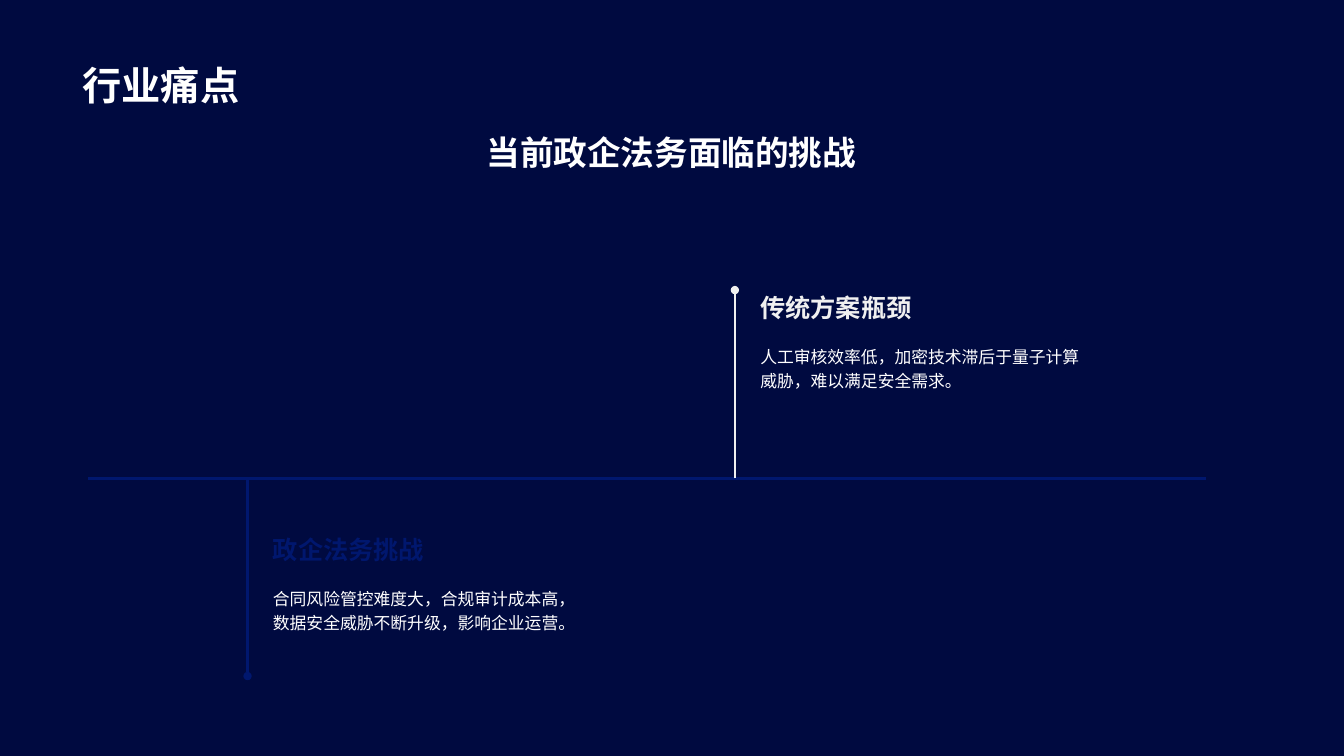
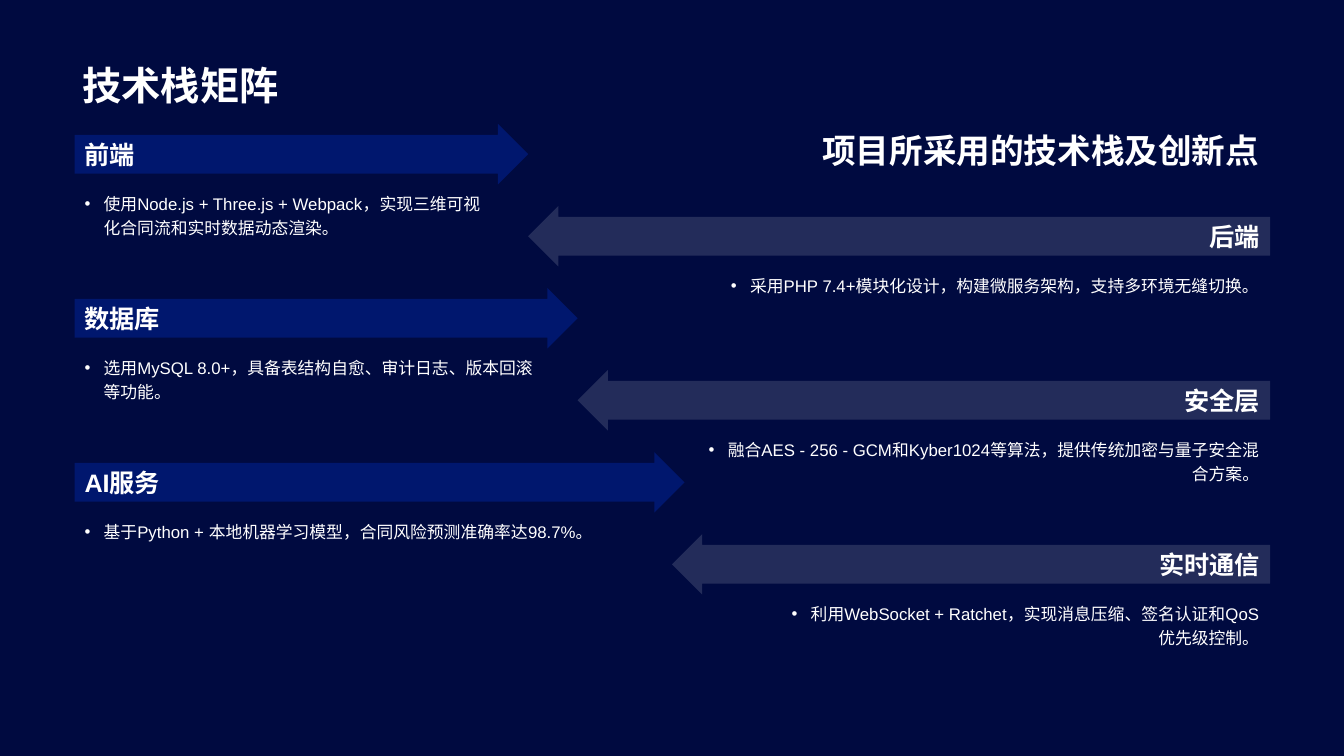
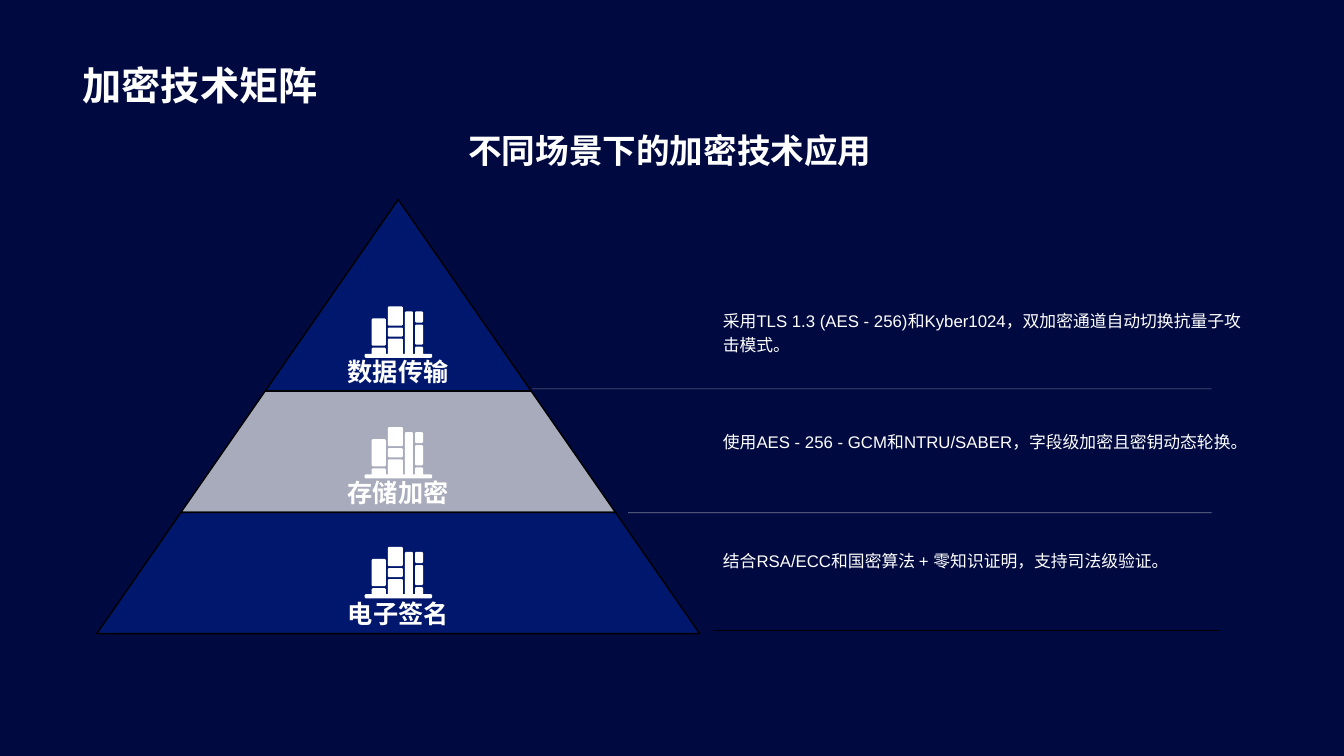
from lxml.etree import SubElement
from pptx import Presentation
from pptx.dml.color import RGBColor
from pptx.enum.shapes import MSO_CONNECTOR, MSO_SHAPE
from pptx.enum.text import MSO_ANCHOR, PP_ALIGN
from pptx.oxml.ns import qn
from pptx.util import Inches, Pt

NIGHT = RGBColor(0x00, 0x0A, 0x40)
BLUE = RGBColor(0x00, 0x17, 0x6E)
PALE = RGBColor(0xF0, 0xF0, 0xF0)
WHITE = RGBColor(0xFF, 0xFF, 0xFF)
BLACK = RGBColor(0x00, 0x00, 0x00)

TITLE = {"size": Pt(28), "bold": True}
SUBTITLE = {"size": Pt(24), "bold": True}
HEADING = {"size": Pt(18), "bold": True}
BODY = {"size": Pt(12), "bold": False}
LEFT, CENTER, RIGHT = PP_ALIGN.LEFT, PP_ALIGN.CENTER, PP_ALIGN.RIGHT
TOP, MIDDLE, BOTTOM = MSO_ANCHOR.TOP, MSO_ANCHOR.MIDDLE, MSO_ANCHOR.BOTTOM

prs = Presentation()
prs.slide_width, prs.slide_height = Inches(13.33), Inches(7.5)
COL, ROW = prs.slide_width / 100, prs.slide_height / 100


def at(*shares):
    return [round(v * (ROW if i % 2 else COL)) for i, v in enumerate(shares)]


def write(sp, text, font, color=WHITE, align=LEFT, anchor=TOP):
    tf = sp.text_frame
    p = tf.paragraphs[0]
    r = p.add_run()
    r.text = text
    spacing = 1.2 if font is BODY else 1.0
    for obj, values in (
        (tf, {"word_wrap": True, "vertical_anchor": anchor}),
        (p, {"alignment": align, "line_spacing": spacing}),
        (r.font, {"name": "Arial", **font}),
    ):
        for name, value in values.items():
            setattr(obj, name, value)
    r.font.color.rgb = color
    return p


fill = prs.slide_master.background.fill
fill.solid()
fill.fore_color.rgb = NIGHT
layout = prs.slide_layouts[5]
title = layout.placeholders[0]
title.left, title.top, title.width, title.height = at(5.4, 1.87, 89.1, 13.07)

pages = [
    ("行业痛点", "当前政企法务面临的挑战", (5.4, 16.8, 89.1, 9.73), CENTER),
    ("技术栈矩阵", "项目所采用的技术栈及创新点", (42, 16.53, 52.43, 12), RIGHT),
    ("加密技术矩阵", "不同场景下的加密技术应用", (5.4, 16.53, 88.88, 6.67), CENTER),
]
for name, subtitle, area, align in pages:
    s = prs.slides.add_slide(layout)
    write(s.shapes.title, name, TITLE, anchor=BOTTOM)
    write(s.shapes.add_textbox(*at(*area)), subtitle, SUBTITLE, align=align)
pains, stack, crypto = prs.slides

AXIS = 63.28
lines = [
    (pains, (6.57, AXIS, 89.7, AXIS), BLUE, 1.75, 100, False),
    (crypto, (39.6, 51.44, 90.15, 51.44), PALE, 0.5, 50, False),
    (crypto, (46.73, 67.82, 90.15, 67.82), PALE, 0.5, 50, False),
    (crypto, (53.03, 83.33, 90.75, 83.33), BLACK, 0.5, 100, False),
]

events = [
    (18.42, 89.43, 66.67, 24.38, BLUE, "政企法务挑战",
     "合同风险管控难度大，合规审计成本高，数据安全威胁不断升级，影响企业运营。"),
    (54.68, 38.37, 34.65, 25.65, PALE, "传统方案瓶颈",
     "人工审核效率低，加密技术滞后于量子计算威胁，难以满足安全需求。"),
]
for x, end, y, w, color, heading, text in events:
    lines.append((pains, (x, AXIS, x, end), color, 1.75, 100, True))
    sp = pains.shapes.add_textbox(*at(x + 1.15, y, w, 8.67))
    write(sp, heading, HEADING, color, anchor=BOTTOM)
    sp = pains.shapes.add_textbox(*at(x + 1.15, y + 10.04, w, 12.67))
    write(sp, text, BODY)

for s, ends, color, width, opacity, dot in lines:
    sp = s.shapes.add_connector(MSO_CONNECTOR.STRAIGHT, *at(*ends))
    sp.line.color.rgb = color
    sp.line.width = Pt(width)
    spPr = sp._element.spPr
    if opacity < 100:
        alpha = SubElement(spPr.xpath(".//a:srgbClr")[0], qn("a:alpha"))
        alpha.set("val", str(opacity * 1000))
    if dot:
        SubElement(spPr.find(qn("a:ln")), qn("a:tailEnd")).set("type", "oval")
    SubElement(spPr, qn("a:effectLst"))

START, END = 5.55, 94.5
layers = [
    ("前端", 39.3, 32.03,
     "使用Node.js + Three.js + Webpack，实现三维可视化合同流和实时数据动态渲染。"),
    ("后端", 39.3, 45.68,
     "采用PHP 7.4+模块化设计，构建微服务架构，支持多环境无缝切换。"),
    ("数据库", 42.98, 35.55,
     "选用MySQL 8.0+，具备表结构自愈、审计日志、版本回滚等功能。"),
    ("安全层", 42.98, 42.68,
     "融合AES - 256 - GCM和Kyber1024等算法，提供传统加密与量子安全混合方案。"),
    ("AI服务", 50.93, 43.13,
     "基于Python + 本地机器学习模型，合同风险预测准确率达98.7%。"),
    ("实时通信", 50.0, 36.83,
     "利用WebSocket + Ratchet，实现消息压缩、签名认证和QoS优先级控制。"),
]
for i, (heading, tip, w, text) in enumerate(layers):
    y = 16.4 + 10.85 * i
    if i % 2:
        kind, x, length, text_x, align = MSO_SHAPE.LEFT_ARROW, tip, END - tip, END - 0.08 - w, RIGHT
    else:
        kind, x, length, text_x, align = MSO_SHAPE.RIGHT_ARROW, START, tip - START, START, LEFT
    sp = stack.shapes.add_shape(kind, *at(x, y, length, 8))
    sp.adjustments[0], sp.adjustments[1] = 0.64, 0.5
    sp.shadow.inherit = False
    sp.line.fill.background()
    sp.fill.solid()
    sp.fill.fore_color.rgb = PALE if i % 2 else BLUE
    if i % 2:
        SubElement(sp._element.spPr.xpath(".//a:srgbClr")[0], qn("a:alpha")).set("val", "15000")
    write(sp, heading, HEADING, align=align, anchor=MIDDLE)
    p = write(stack.shapes.add_textbox(*at(text_x, y + 8, w, 10.8)), text, BODY, align=align)
    pPr = p._p.get_or_add_pPr()
    pPr.set("marL", str(Inches(0.19)))
    pPr.set("indent", str(-Inches(0.19)))
    SubElement(pPr, qn("a:buFont")).set("typeface", "Arial")
    SubElement(pPr, qn("a:buChar")).set("char", "•")

APEX_X, APEX_Y, BASE_Y, HALF_BASE = 29.63, 26.4, 83.82, 22.43
books = [
    (0.23, 0.21, 0.38, 0.3), (0.5, 0.18, 0.58, 0.38), (0.07, 0.12, 0.21, 0.39),
    (0.5, 0.05, 0.58, 0.16), (0.23, 0, 0.38, 0.19),
]
outlines = [[(x1, y1), (x2, y1), (x2, y2), (x1, y2)] for x1, y1, x2, y2 in books]
outlines.append([
    (0.4, 0.05), (0.48, 0.05), (0.48, 0.47), (0.5, 0.47), (0.5, 0.4),
    (0.58, 0.4), (0.58, 0.47), (0.67, 0.47), (0.67, 0.51), (0, 0.51),
    (0, 0.47), (0.07, 0.47), (0.07, 0.41), (0.21, 0.41), (0.21, 0.47),
    (0.23, 0.47), (0.23, 0.32), (0.38, 0.32), (0.38, 0.47), (0.4, 0.47),
])
CUT = 0.01
rounded = []
for corners in outlines:
    points = []
    for i, (x, y) in enumerate(corners):
        (px, py), (nx, ny) = corners[i - 1], corners[(i + 1) % len(corners)]
        if (x - px) * (ny - y) - (y - py) * (nx - x) > 0:
            for ox, oy in ((px, py), (nx, ny)):
                length = abs(ox - x) + abs(oy - y)
                points.append((x + CUT * (ox - x) / length, y + CUT * (oy - y) / length))
        else:
            points.append((x, y))
    rounded.append(points)

levels = [
    (APEX_Y, 51.73, 39.91, BLUE, "数据传输",
     "采用TLS 1.3 (AES - 256)和Kyber1024，双加密通道自动切换抗量子攻击模式。"),
    (51.73, 67.78, 55.87, PALE, "存储加密",
     "使用AES - 256 - GCM和NTRU/SABER，字段级加密且密钥动态轮换。"),
    (67.78, BASE_Y, 71.72, BLUE, "电子签名",
     "结合RSA/ECC和国密算法 + 零知识证明，支持司法级验证。"),
]
for top, bottom, text_y, color, heading, text in levels:
    upper, lower = [HALF_BASE * (y - APEX_Y) / (BASE_Y - APEX_Y) for y in (top, bottom)]
    fb = crypto.shapes.build_freeform(*at(APEX_X - lower, bottom))
    fb.add_line_segments([tuple(at(APEX_X + dx, y)) for dx, y in (
        (-upper, top), (upper, top), (lower, bottom))], close=True)
    sp = fb.convert_to_shape()
    sp.shadow.inherit = False
    sp.fill.solid()
    sp.fill.fore_color.rgb = color
    if color == PALE:
        SubElement(sp._element.spPr.xpath(".//a:srgbClr")[0], qn("a:alpha")).set("val", "70000")
    sp.line.color.rgb = BLACK
    sp.line.width = Pt(1)
    write(sp, heading, HEADING, align=CENTER, anchor=BOTTOM)
    write(crypto.shapes.add_textbox(*at(53.05, text_y, 40.35, 11.07)), text, BODY)
    icon_x, icon_y = at(27.13, text_y + 0.62)
    fb = None
    for points in rounded:
        spots = [(icon_x + Inches(x), icon_y + Inches(y)) for x, y in points]
        if fb is None:
            fb = crypto.shapes.build_freeform(*spots[0])
        else:
            fb.move_to(*spots[0])
        fb.add_line_segments(spots[1:], close=True)
    sp = fb.convert_to_shape()
    sp.shadow.inherit = False
    sp.fill.solid()
    sp.fill.fore_color.rgb = WHITE
    sp.line.fill.background()

prs.save("out.pptx")
